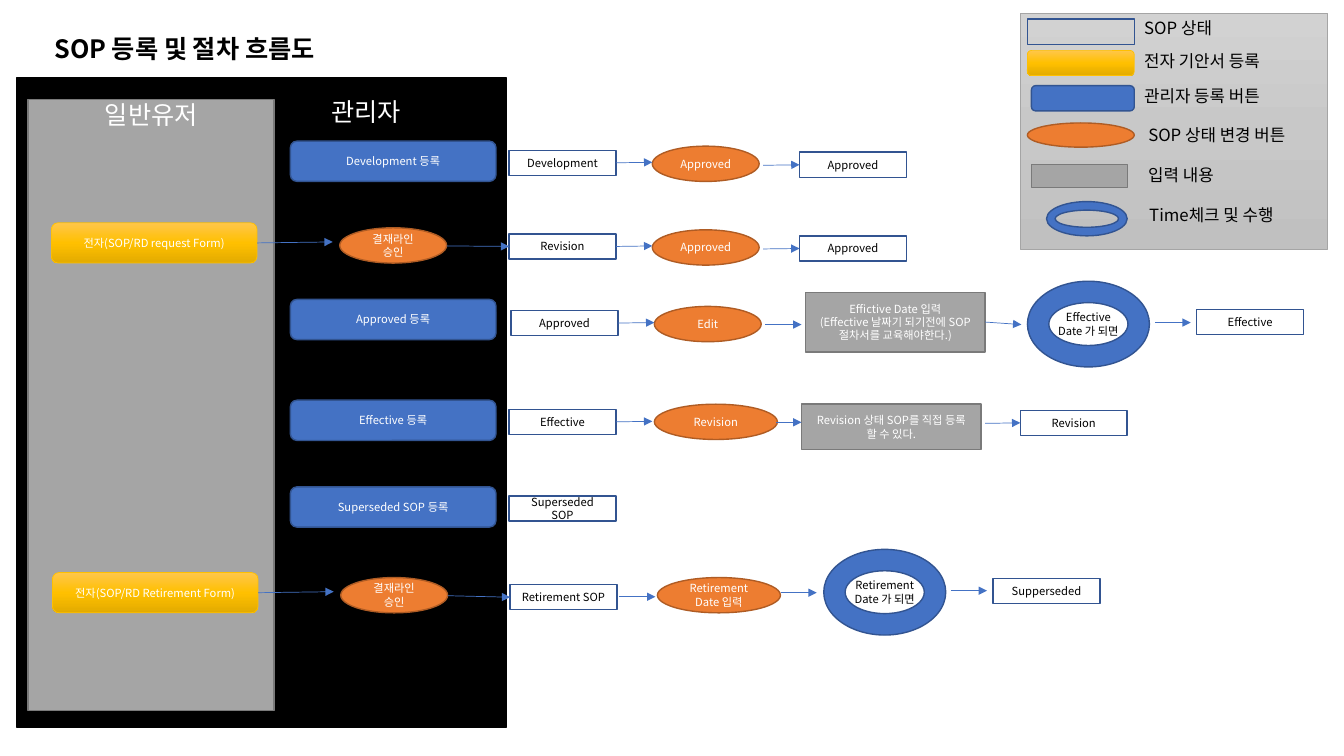
import copy

import lxml.etree
import pptx
import pptx.dml.color
import pptx.enum.shapes
import pptx.enum.text
import pptx.oxml.ns
import pptx.util

Inches = pptx.util.Inches
Pt = pptx.util.Pt
Preset = pptx.enum.shapes.MSO_SHAPE
Align = pptx.enum.text.PP_ALIGN
Anchor = pptx.enum.text.MSO_ANCHOR
qn = pptx.oxml.ns.qn

GOLD = ("FFC64B", "FFC000", "E3AB00")
SILVER = ("D2D2D2", "C8C8C8", "C0C0C0")
RIGHT, LEFT = 3, 1

# kind: preset, fill, line colour, line width, text colour, usual size
KINDS = {
    "state": (Preset.RECTANGLE, None, "325491", 1, "000000", (1.06, 0.25)),
    "form": (Preset.ROUNDED_RECTANGLE, GOLD, "FFC000", 0.5, "FFFFFF", (2.04, 0.4)),
    "register": (Preset.ROUNDED_RECTANGLE, "4472C4", "325491", 1, "FFFFFF", (2.04, 0.4)),
    "change": (Preset.OVAL, "ED7D31", "AF5C24", 1, "FFFFFF", (1.06, 0.35)),
    "input": (Preset.FLOWCHART_PROCESS, "A5A5A5", "7A7A7A", 1, "FFFFFF", (1.78, 0.45)),
    "timer": (Preset.DONUT, "4472C4", "325491", 1, "000000", (1.21, 0.85)),
    "manager": (Preset.RECTANGLE, "000000", "000000", 1, "FFFFFF", (4.85, 6.45)),
    "user": (Preset.RECTANGLE, "A5A5A5", "7A7A7A", 1, "FFFFFF", (2.44, 6.06)),
    "legend": (Preset.RECTANGLE, SILVER, "A5A5A5", 0.5, "000000", (3.05, 2.34)),
}


def rgb(value):
    return pptx.dml.color.RGBColor.from_string(value)


class FlowSlide:
    font = "Noto Sans CJK KR"
    arrow_color = "4472C4"

    def __init__(self, slide):
        self.slide = slide

    def add_text(self, frame, text, size, color, align=Align.LEFT, bold=False):
        for index, line in enumerate(text.split("\n")):
            paragraph = frame.add_paragraph() if index else frame.paragraphs[0]
            paragraph.alignment = align
            run = paragraph.add_run()
            run.text = line
            run.font.name = self.font
            run.font.size = Pt(size)
            run.font.bold = bold
            run.font.color.rgb = rgb(color)
            east_asian = lxml.etree.SubElement(run._r.get_or_add_rPr(), qn("a:ea"))
            east_asian.set("typeface", self.font)

    def paint(self, fill, color):
        if color is None:
            fill.background()
        elif isinstance(color, str):
            fill.solid()
            fill.fore_color.rgb = rgb(color)
        else:
            fill.gradient()
            fill.gradient_angle = 270
            last = fill.gradient_stops[1]._gs
            last.addnext(copy.deepcopy(last))
            for stop, shade, position in zip(fill.gradient_stops, color, (0, 0.5, 1)):
                stop.color.rgb = rgb(shade)
                stop.position = position

    def node(self, kind, x, y, text="", size=None):
        preset, fill, line, weight, color, usual = KINDS[kind]
        width, height = size or usual
        shape = self.slide.shapes.add_shape(
            preset, Inches(x), Inches(y), Inches(width), Inches(height))
        shape.shadow.inherit = False
        self.paint(shape.fill, fill)
        shape.line.color.rgb = rgb(line)
        shape.line.width = Pt(weight)
        shape.text_frame.word_wrap = True
        shape.text_frame.vertical_anchor = Anchor.MIDDLE
        if text:
            self.add_text(shape.text_frame, text, 8, color, Align.CENTER)
        return shape

    def lane(self, kind, x, y, heading, left, top):
        frame = self.node(kind, x, y).text_frame
        frame.vertical_anchor = Anchor.TOP
        frame.margin_left, frame.margin_top = Inches(left), Inches(top)
        self.add_text(frame, heading, 18, "FFFFFF", Align.CENTER)

    def label(self, x, y, width, height, text, size, bold=False, wrap=False):
        box = self.slide.shapes.add_textbox(
            Inches(x), Inches(y), Inches(width), Inches(height))
        box.text_frame.word_wrap = wrap
        self.add_text(box.text_frame, text, size, "000000", bold=bold)

    def arrow(self, start, end):
        """Each end is either a point or a node to join at its side."""
        points = [p if isinstance(p, tuple) else (0, 0) for p in (start, end)]
        line = self.slide.shapes.add_connector(
            pptx.enum.shapes.MSO_CONNECTOR.STRAIGHT,
            *(Inches(value) for point in points for value in point))
        if not isinstance(start, tuple):
            line.begin_connect(start, RIGHT)
        if not isinstance(end, tuple):
            line.end_connect(end, LEFT)
        line.line.color.rgb = rgb(self.arrow_color)
        line.line.width = Pt(0.5)
        lxml.etree.SubElement(line.line._get_or_add_ln(), qn("a:tailEnd"), type="triangle")
        lxml.etree.SubElement(line._element.spPr, qn("a:effectLst"))


def main():
    deck = pptx.Presentation()
    deck.slide_width, deck.slide_height = Inches(13.33), Inches(7.5)
    flow = FlowSlide(deck.slides.add_slide(deck.slide_layouts[6]))

    # Title and lanes
    flow.label(0.44, 0.28, 11.91, 0.4, "SOP 등록 및 절차 흐름도", 18, bold=True, wrap=True)
    flow.lane("manager", 0.17, 0.77, "관리자", left=2.17, top=0.19)
    flow.lane("user", 0.28, 0.99, "일반유저", left=0.1, top=0)

    # Manager registration buttons
    for y, name in ((1.4, "Development"), (2.97, "Approved"),
                    (3.97, "Effective"), (4.83, "Superseded SOP")):
        flow.node("register", 2.88, y, name + " 등록")

    # Development and revision: state, approval, approved state
    starts = []
    for y, name in ((1.49, "Development"), (2.32, "Revision")):
        state = flow.node("state", 5.05, y, name)
        flow.node("change", 6.47, y - 0.04, "Approved")
        approved = flow.node("state", 7.93, y + 0.02, "Approved")
        flow.arrow(state, (6.47, y + 0.12))
        flow.arrow((7.57, y + 0.15), approved)
        starts.append(state)
    revision = starts[1]

    # Approved to effective
    approved = flow.node("state", 5.07, 3.08, "Approved")
    flow.node("change", 6.49, 3.04, "Edit")
    training = flow.node(
        "input", 7.99, 2.9,
        "Effictive Date 입력\n(Effective 날짜기 되기전에 SOP절차서를 교육해야한다.)", (1.78, 0.59))
    flow.node("timer", 10.19, 2.79, "Effective Date 가 되면")
    flow.node("state", 11.87, 3.07, "Effective")
    flow.arrow(approved, (6.49, 3.2))
    flow.arrow((7.59, 3.22), (7.95, 3.22))
    flow.arrow(training, (10.13, 3.22))
    flow.arrow((11.46, 3.2), (11.81, 3.2))

    # Effective to revision
    effective = flow.node("state", 5.05, 4.06, "Effective")
    flow.node("change", 6.49, 4.01, "Revision", (1.22, 0.35))
    flow.node("input", 7.95, 4.01, "Revision 상태 SOP를 직접 등록 할 수 있다.")
    revised = flow.node("state", 10.12, 4.07, "Revision")
    flow.arrow(effective, (6.47, 4.18))
    flow.arrow((7.7, 4.19), (7.95, 4.19))
    flow.arrow((9.77, 4.2), revised)

    # Superseded and retirement
    flow.node("state", 5.05, 4.92, "Superseded SOP")
    retirement = flow.node("state", 5.06, 5.8, "Retirement SOP")
    flow.node("change", 6.52, 5.73, "Retirement Date 입력", (1.22, 0.35))
    flow.node("timer", 8.17, 5.45, "Retirement Date 가 되면")
    flow.node("state", 9.85, 5.74, "Supperseded")
    flow.arrow((6.14, 5.92), (6.5, 5.92))
    flow.arrow((7.75, 5.88), (8.1, 5.88))
    flow.arrow((9.43, 5.86), (9.79, 5.86))

    # User forms passing the approval line
    for x, y, oval_y, name, target in (
            (0.51, 2.21, 2.26, "request", revision),
            (0.52, 5.68, 5.73, "Retirement", retirement)):
        form = flow.node("form", x, y, f"전자(SOP/RD {name} Form)")
        flow.node("change", x + 2.86, oval_y, "결재라인 승인")
        flow.arrow(form, (x + 2.79, y + 0.19))
        flow.arrow((x + 3.92, oval_y + 0.18), target)

    # Legend
    flow.node("legend", 10.12, 0.13)
    for kind, x, y, size, label_x, label_y, label_width, text in (
            ("state", 10.19, 0.19, (1.06, 0.25), 11.25, 0.13, 0.92, "SOP 상태"),
            ("form", 10.19, 0.5, (1.06, 0.25), 11.25, 0.45, 1.5, "전자 기안서 등록"),
            ("register", 10.23, 0.85, (1.02, 0.25), 11.25, 0.8, 1.5, "관리자 등록 버튼"),
            ("change", 10.19, 1.22, (1.06, 0.24), 11.29, 1.19, 1.71, "SOP 상태 변경 버튼"),
            ("input", 10.23, 1.63, (0.95, 0.23), 11.29, 1.59, 0.93, "입력 내용"),
            ("timer", 10.38, 2, (0.8, 0.34), 11.3, 1.98, 1.53, "Time체크 및 수행")):
        flow.node(kind, x, y, size=size)
        flow.label(label_x, label_y, label_width, 0.3, text, 12)

    deck.save("out.pptx")


if __name__ == "__main__":
    main()
